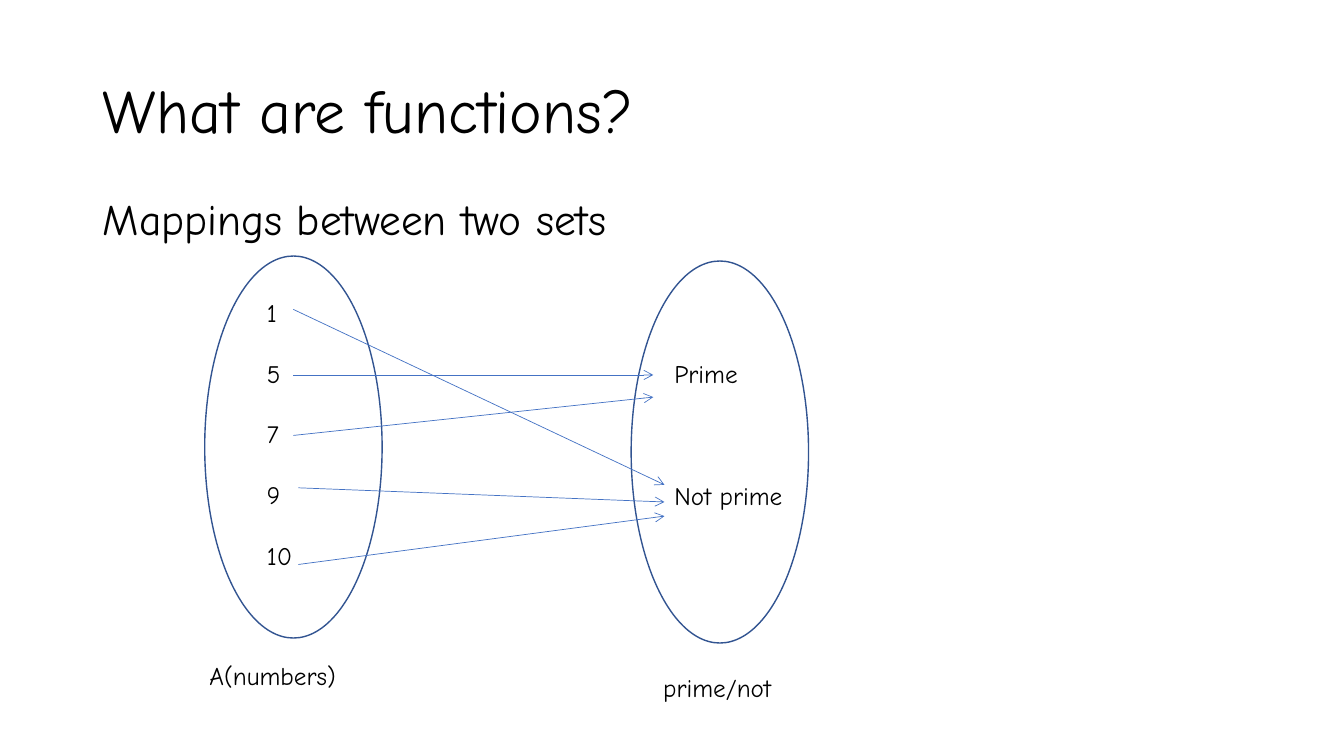
from lxml.etree import SubElement
from pptx import Presentation
from pptx.dml.color import RGBColor
from pptx.enum.shapes import MSO_CONNECTOR, MSO_SHAPE
from pptx.enum.text import MSO_ANCHOR, MSO_AUTO_SIZE, PP_ALIGN
from pptx.oxml.ns import qn
from pptx.util import Inches, Pt

COLORS = {"text": "000000", "outline": "325491", "arrow": "4472C4"}
FONT = "Comic Neue"
WIDTH, HEIGHT = Inches(13.33), Inches(7.5)


def across(percent):
    return round(WIDTH * percent / 100)


def down(percent):
    return round(HEIGHT * percent / 100)


def box(left, top, width, height):
    """Turn percentages of the slide into a left, top, width, height tuple."""
    return across(left), down(top), across(width), down(height)


def color(name):
    return RGBColor.from_string(COLORS[name])


def add_run(paragraph, text, size):
    run = paragraph.add_run()
    run.text = text
    run.font.name = FONT
    run.font.size = Pt(size)
    run.font.color.rgb = color("text")


def fill_placeholder(shape, area, text, size, spacing, anchor):
    shape.left, shape.top, shape.width, shape.height = area
    frame = shape.text_frame
    frame.auto_size = MSO_AUTO_SIZE.NONE
    frame.vertical_anchor = anchor
    paragraph = frame.paragraphs[0]
    paragraph.alignment = PP_ALIGN.LEFT
    paragraph.line_spacing = spacing
    add_run(paragraph, text, size)
    return paragraph


def remove_bullet(paragraph):
    properties = paragraph._p.get_or_add_pPr()
    properties.set("marL", "0")
    properties.set("indent", "0")
    SubElement(properties, qn("a:buNone"))


def add_text(slide, area, lines, gap=0, spacing=1.0):
    """Add one paragraph per line, with gap points between them."""
    frame = slide.shapes.add_textbox(*area).text_frame
    frame.word_wrap = True
    for index, line in enumerate(lines):
        paragraph = frame.add_paragraph() if index else frame.paragraphs[0]
        paragraph.line_spacing = spacing
        if index:
            paragraph.space_before = Pt(gap)
        add_run(paragraph, line, 18)


def add_set(slide, left, top):
    ellipse = slide.shapes.add_shape(MSO_SHAPE.OVAL, *box(left, top, 13.2, 50.53))
    ellipse.shadow.inherit = False
    ellipse.fill.background()
    ellipse.line.color.rgb = color("outline")
    ellipse.line.width = Pt(1)


def add_arrow(slide, start, end):
    arrow = slide.shapes.add_connector(
        MSO_CONNECTOR.STRAIGHT,
        across(start[0]), down(start[1]), across(end[0]), down(end[1]))
    arrow.line.color.rgb = color("arrow")
    arrow.line.width = Pt(0.5)
    SubElement(arrow.line._get_or_add_ln(), qn("a:tailEnd"), type="arrow")
    SubElement(arrow._element.spPr, qn("a:effectLst"))


def main():
    presentation = Presentation()
    presentation.slide_width, presentation.slide_height = WIDTH, HEIGHT
    slide = presentation.slides.add_slide(presentation.slide_layouts[1])

    fill_placeholder(slide.shapes.title, box(6.9, 5.33, 86.27, 19.33),
                     "What are functions?", 44, 0.9, MSO_ANCHOR.MIDDLE)
    subtitle = fill_placeholder(slide.placeholders[1], box(6.9, 26.67, 85.5, 6.27),
                                "Mappings between two sets", 31, 0.7, MSO_ANCHOR.TOP)
    subtitle.space_before = Pt(10)
    remove_bullet(subtitle)

    add_set(slide, 15.23, 33.87)
    add_text(slide, box(19.13, 38.67, 4.88, 37.73), ["1", "5", "7", "9", "10"], gap=21.8)
    add_set(slide, 46.96, 34.53)
    add_text(slide, box(49.44, 46.8, 12.08, 21.6), ["Prime", "Not prime"], gap=65.4)

    mappings = [
        ((21.83, 40.93), (49.44, 64.13)),
        ((21.83, 49.6), (48.61, 49.6)),
        ((21.83, 57.6), (48.61, 52.53)),
        ((22.2, 64.53), (49.44, 66.4)),
        ((22.2, 74.67), (49.44, 68.27)),
    ]
    for start, end in mappings:
        add_arrow(slide, start, end)

    add_text(slide, box(14.85, 87.2, 18.23, 6.27), ["A(numbers)"], spacing=0.9)
    add_text(slide, box(48.61, 88.27, 13.2, 5.33), ["prime/not"])
    presentation.save("out.pptx")


if __name__ == "__main__":
    main()
